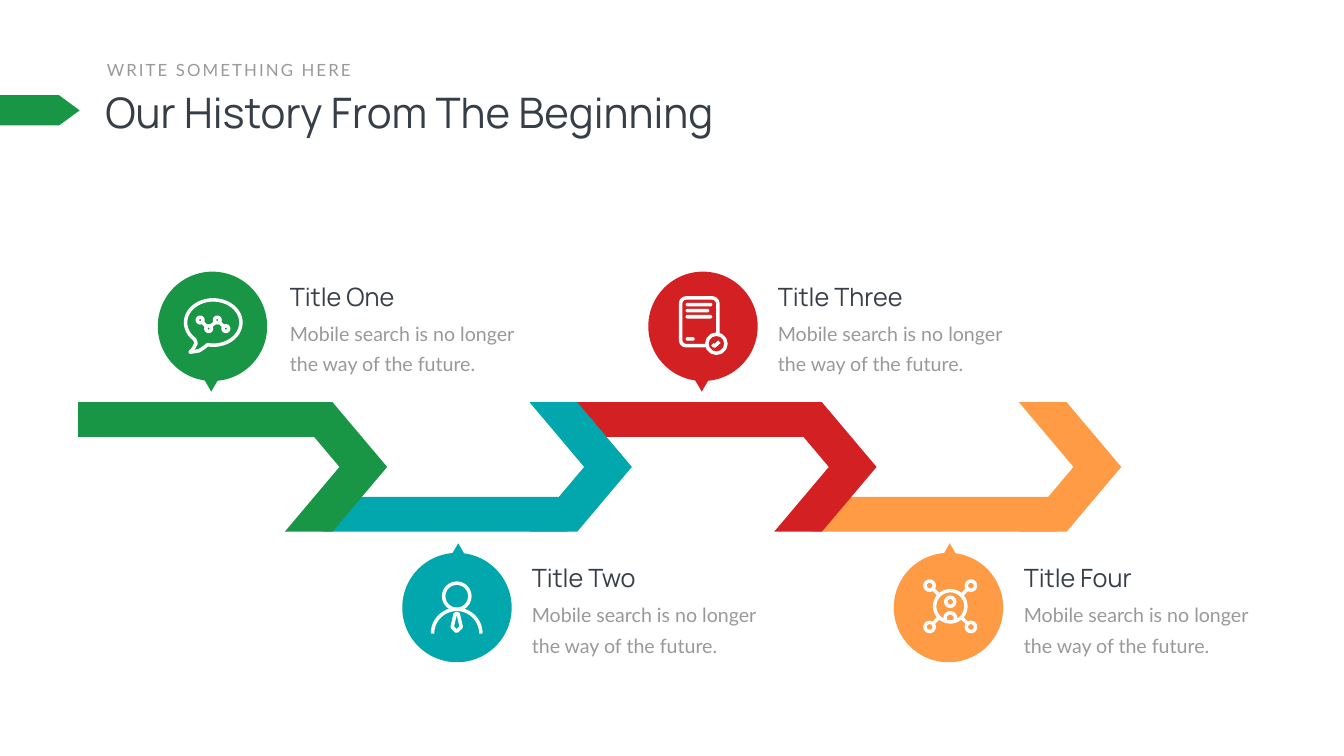
from dataclasses import dataclass
from math import cos, radians, sin

from pptx import Presentation
from pptx.dml.color import RGBColor
from pptx.enum.shapes import MSO_SHAPE
from pptx.enum.text import MSO_AUTO_SIZE
from pptx.util import Pt

PX = 9144  # one hundred px to the inch
RECT, CHEVRON, PENTAGON = MSO_SHAPE.RECTANGLE, MSO_SHAPE.CHEVRON, MSO_SHAPE.PENTAGON
OVAL, TRIANGLE, ROUNDED = MSO_SHAPE.OVAL, MSO_SHAPE.ISOSCELES_TRIANGLE, MSO_SHAPE.ROUNDED_RECTANGLE


@dataclass(frozen=True)
class Theme:
    green: str = "199645"
    teal: str = "02A7AD"
    red: str = "D32023"
    orange: str = "FF9A45"
    white: str = "FFFFFF"
    dark: str = "363E48"
    grey: str = "999999"
    display: str = "Manrope"
    body: str = "Lato"
    heading_size: int = 60
    kicker_size: int = 24
    title_size: int = 36
    text_size: int = 28
    text_leading: int = 43
    icon_line: int = 5


THEME = Theme()


def arc(x, y, radius_x, radius_y, start, end, steps=40):
    """Points along an ellipse; angles in degrees, clockwise from the right."""
    angles = [radians(start + (end - start) * i / steps) for i in range(steps + 1)]
    return [(round(x + radius_x * cos(a), 1), round(y + radius_y * sin(a), 1)) for a in angles]


def circle(x, y, radius):
    return arc(x, y, radius, radius, 0, 360)


HEADING = "Our History From The Beginning"
KICKER = "WRITE SOMETHING HERE"
TEXT = "Mobile search is no longer the way of the future."
# title, colour, badge left, title left, icon
STEPS = [
    ("Title One", THEME.green, 313, 565, "chat"),
    ("Title Two", THEME.teal, 798, 1045, "person"),
    ("Title Three", THEME.red, 1286, 1533, "phone"),
    ("Title Four", THEME.orange, 1773, 2021, "network"),
]

# Icon parts, measured from the badge centre:
# ring x, y, radius | frame and bar x, y, width, height | outline contours
ZIGZAG = [(-24 + 17 * i, -12 + 17 * (i % 2)) for i in range(4)]
LINKS = [[(x + 4, y + (b - y) // 4), (a - 4, b - (b - y) // 4)]
         for (x, y), (a, b) in zip(ZIGZAG, ZIGZAG[1:])]
BUBBLE = arc(2, -7, 55, 45, 102, -228) + [(-32, 34), (-37, 44), (-44, 52), (-26, 49), (-17, 43)]
TIE = [(-3, 13), (-9, 39), (0, 48), (9, 39), (3, 13)]
CORNERS = [(x, y) for x in (-1, 1) for y in (-1, 1)]
NODES = [circle(4 + 41 * x, -2 + 41 * y, 9) for x, y in CORNERS]
SPOKES = [[(4 + 34 * x, -2 + 34 * y), (4 + 22 * x, -2 + 22 * y)] for x, y in CORNERS]
SHOULDERS = [(-6, 26)] + arc(4, 20, 10, 9, 180, 360) + [(14, 26)]
ICONS = {
    "chat": [
        ("outline", BUBBLE + BUBBLE[:1]),
        ("outline", *(circle(x, y, 5.5) for x, y in ZIGZAG), *LINKS),
    ],
    "person": [
        ("ring", 0, -22, 26),
        ("outline", arc(0, 52, 48, 48, 180, 360), TIE + TIE[:1]),
    ],
    "phone": [
        ("frame", -44, -56, 74, 95),
        ("bar", -34, -46, 53, 7),
        ("bar", -34, -34, 47, 7),
        ("bar", -34, -22, 53, 7),
        ("bar", -34, 22, 18, 7),
        ("ring", 27, 35, 19),
        ("outline", [(19, 36), (23, 40), (33, 31)]),
    ],
    "network": [
        ("outline", circle(4, -2, 31), SHOULDERS, *NODES, *SPOKES),
        ("ring", 4, -11, 9),
    ],
}


def rgb(colour):
    return RGBColor.from_string(colour)


def add_block(page, kind, left, top, width, height, colour, adjustment=None, rotation=0):
    block = page.shapes.add_shape(kind, *(round(n * PX) for n in (left, top, width, height)))
    block.shadow.inherit = False
    block.fill.solid()
    block.fill.fore_color.rgb = rgb(colour)
    block.line.fill.background()
    block.rotation = rotation
    if adjustment is not None:
        block.adjustments[0] = adjustment
    return block


def draw_in_white(shape):
    shape.line.color.rgb = rgb(THEME.white)
    shape.line.width = Pt(THEME.icon_line)


def add_outline(page, contours, centre_x, centre_y):
    """One unfilled shape; a contour that ends where it starts is closed."""
    placed = [[((centre_x + x) * PX, (centre_y + y) * PX) for x, y in c] for c in contours]
    builder = page.shapes.build_freeform(*placed[0][0])
    for index, points in enumerate(placed):
        if index:
            builder.move_to(*points[0])
        builder.add_line_segments(points[1:], close=points[0] == points[-1])
    outline = builder.convert_to_shape()
    outline.shadow.inherit = False
    outline.fill.background()
    draw_in_white(outline)


def add_icon(page, parts, centre_x, centre_y, backing):
    for kind, *values in parts:
        if kind == "outline":
            add_outline(page, values, centre_x, centre_y)
        elif kind == "ring":
            x, y, radius = values
            draw_in_white(add_block(page, OVAL, centre_x + x - radius, centre_y + y - radius,
                                    2 * radius, 2 * radius, backing))
        else:
            x, y, width, height = values
            is_bar = kind == "bar"
            box = add_block(page, ROUNDED, centre_x + x, centre_y + y, width, height,
                            THEME.white if is_bar else backing, 0.5 if is_bar else 0.15)
            if not is_bar:
                draw_in_white(box)


def add_text(page, text, left, top, width, height, font, size, colour, wrap=True):
    box = page.shapes.add_textbox(left * PX, top * PX, width * PX, height * PX)
    frame = box.text_frame
    frame.text = text
    frame.word_wrap = wrap
    frame.auto_size = MSO_AUTO_SIZE.SHAPE_TO_FIT_TEXT
    span = frame.paragraphs[0].runs[0]
    span.font.name = font
    span.font.size = Pt(size)
    span.font.color.rgb = rgb(colour)
    return frame


def add_header(page):
    add_text(page, HEADING, 199, 167, 1606, 111, THEME.display, THEME.heading_size, THEME.dark)
    kicker = add_text(page, KICKER, 202, 113, 514, 50, THEME.body, THEME.kicker_size,
                      THEME.grey, wrap=False)
    kicker.paragraphs[0].runs[0]._r.get_or_add_rPr().set("spc", "300")
    add_block(page, PENTAGON, 0, 189, 158, 60, THEME.green, 0.68)


def add_ribbon(page):
    for index, (_, colour, *_) in reversed(list(enumerate(STEPS))):
        shift = 485.4 * index
        add_block(page, CHEVRON, 565 + shift, 798, 203, 257, colour, 0.534)
        add_block(page, RECT, 155 + shift, 986 if index % 2 else 798, 485, 69, colour)


def add_step(page, index, title, colour, badge_left, title_left, icon):
    below = index % 2
    top = 1097 if below else 539
    add_block(page, OVAL, badge_left, top, 217, 217, colour)
    add_block(page, TRIANGLE, badge_left + (93 if below else 88), top + (-19 if below else 207),
              36, 31, colour, rotation=0 if below else 180)
    add_icon(page, ICONS[icon], badge_left + 108, top + 108, colour)
    add_text(page, title, title_left, top + 14, 387, 71, THEME.display, THEME.title_size, THEME.dark)
    frame = add_text(page, TEXT, title_left - 14, top + 75, 504, 138,
                     THEME.body, THEME.text_size, THEME.grey)
    frame.margin_left = frame.margin_right = 24 * PX
    frame.margin_top = frame.margin_bottom = 12 * PX
    frame.paragraphs[0].line_spacing = Pt(THEME.text_leading)


def main():
    deck = Presentation()
    deck.slide_width, deck.slide_height = 2666 * PX, 1500 * PX
    page = deck.slides.add_slide(deck.slide_layouts[6])
    add_header(page)
    add_ribbon(page)
    for index, step in enumerate(STEPS):
        add_step(page, index, *step)
    deck.save("out.pptx")


if __name__ == "__main__":
    main()
